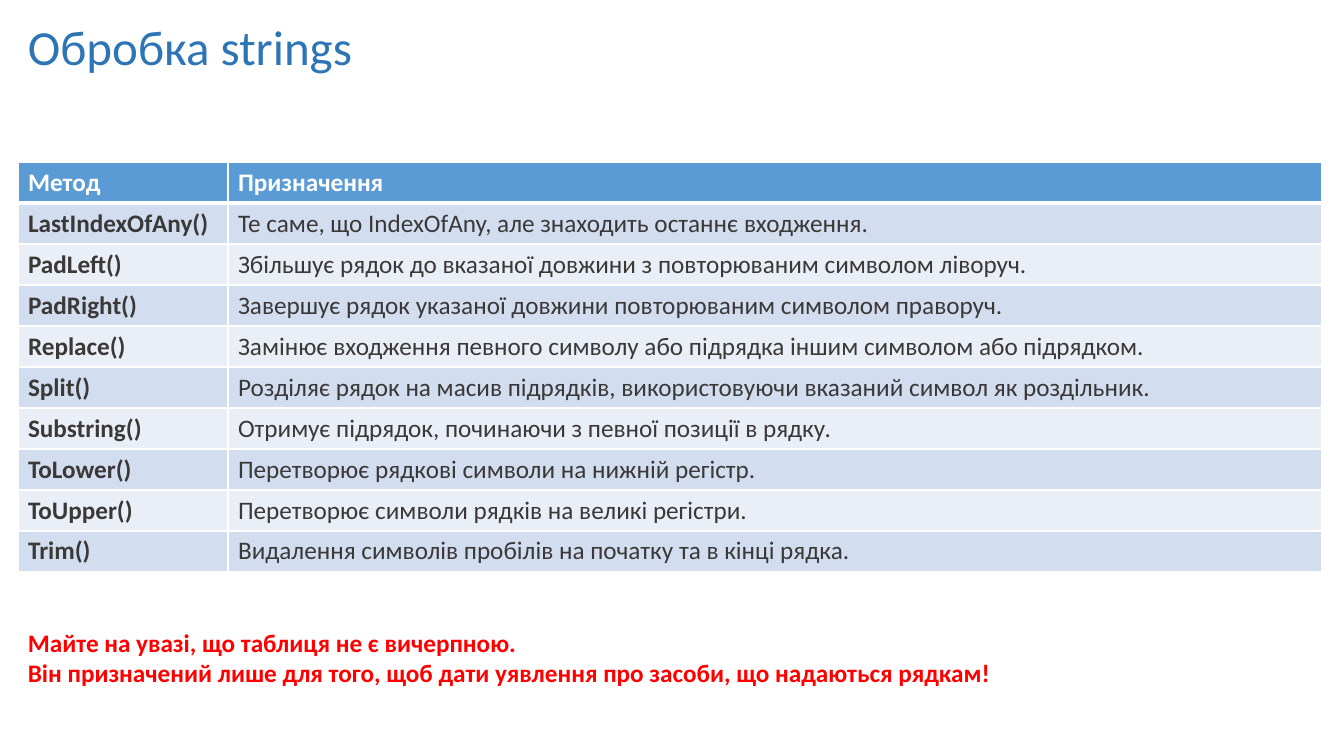
from dataclasses import dataclass

from lxml import etree
from pptx import Presentation
from pptx import util as u
from pptx.dml.color import RGBColor
from pptx.enum import text
from pptx.oxml import ns

EMU_PER_PX = 914400 / 100.8


@dataclass(frozen=True)
class Theme:
    font: str = "Calibri"
    title_size: int = 35
    body_size: int = 18
    title: str = "2E75B6"
    body: str = "3B3838"
    warning: str = "FF0000"
    white: str = "FFFFFF"
    header_fill: str = "5B9BD5"
    band_fills: tuple = ("D2DEEF", "EAEFF7")


def px(length):
    return u.Emu(round(length * EMU_PER_PX))


def write(frame, words, *, font, size, color, bold=False, align=None):
    """Fill a text frame with one paragraph; a newline is a line break."""
    paragraph = frame.paragraphs[0]
    paragraph.alignment = align
    for index, line in enumerate(words.split("\n")):
        if index:
            paragraph.add_line_break()
        run = paragraph.add_run()
        run.text = line
        run.font.name = font
        run.font.size = u.Pt(size)
        run.font.bold = bold
        run.font.color.rgb = RGBColor.from_string(color)


class SlideBuilder:
    def __init__(self, slide, theme):
        self.slide = slide
        self.theme = theme

    def text_box(self, box, words, *, wrap=True, **style):
        shape = self.slide.shapes.add_textbox(*map(px, box))
        frame = shape.text_frame
        frame.word_wrap = wrap
        frame.auto_size = text.MSO_AUTO_SIZE.SHAPE_TO_FIT_TEXT
        write(frame, words, font=self.theme.font, **style)

    def borders(self, cell, widths):
        """Draw white borders; they must precede the fill in the cell's XML."""
        properties = cell._tc.get_or_add_tcPr()
        for index, (side, width) in enumerate(widths.items()):
            line = etree.Element(ns.qn(f"a:ln{side}"), w=str(u.Pt(width)))
            fill = etree.SubElement(line, ns.qn("a:solidFill"))
            etree.SubElement(fill, ns.qn("a:srgbClr"), val=self.theme.white)
            properties.insert(index, line)

    def cell(self, cell, words, *, fill, widths, **style):
        cell.fill.solid()
        cell.fill.fore_color.rgb = RGBColor.from_string(fill)
        self.borders(cell, widths)
        write(cell.text_frame, words, font=self.theme.font,
              size=self.theme.body_size, **style)

    def table(self, left, top, column_widths, row_height, rows):
        theme = self.theme
        box = (left, top, sum(column_widths), row_height * len(rows))
        table = self.slide.shapes.add_table(
            len(rows), len(column_widths), *map(px, box)).table
        table.horz_banding = False
        for column, width in zip(table.columns, column_widths):
            column.width = px(width)
        for r, row in enumerate(rows):
            header = r == 0
            table.rows[r].height = px(row_height)
            fill = theme.header_fill if header else theme.band_fills[(r - 1) % 2]
            widths = {"L": 1, "R": 1, "T": 3 if r == 1 else 1, "B": 3 if header else 1}
            for c, words in enumerate(row):
                description = c == 1 and not header
                self.cell(
                    table.cell(r, c), words, fill=fill, widths=widths,
                    color=theme.white if header else theme.body,
                    bold=not description,
                    align=text.PP_ALIGN.JUSTIFY if description else None)


METHODS = [
    ("Метод", "Призначення"),
    ("LastIndexOfAny()", "Те саме, що IndexOfAny, але знаходить останнє входження."),
    ("PadLeft()", "Збільшує рядок до вказаної довжини з повторюваним символом ліворуч."),
    ("PadRight()", "Завершує рядок указаної довжини повторюваним символом праворуч."),
    ("Replace()", "Замінює входження певного символу або підрядка іншим символом або підрядком."),
    ("Split()", "Розділяє рядок на масив підрядків, використовуючи вказаний символ як роздільник."),
    ("Substring()", "Отримує підрядок, починаючи з певної позиції в рядку."),
    ("ToLower()", "Перетворює рядкові символи на нижній регістр."),
    ("ToUpper()", "Перетворює символи рядків на великі регістри."),
    ("Trim()", "Видалення символів пробілів на початку та в кінці рядка."),
]
NOTE = ("Майте на увазі, що таблиця не є вичерпною.\n"
        "Він призначений лише для того, щоб дати уявлення про засоби, що надаються рядкам!")


def main():
    theme = Theme()
    presentation = Presentation()
    presentation.slide_width, presentation.slide_height = px(1344), px(756)
    slide = presentation.slides.add_slide(presentation.slide_layouts[6])
    builder = SlideBuilder(slide, theme)

    # Title
    builder.text_box((18, 12, 348, 70), "Обробка strings", wrap=False,
                     size=theme.title_size, color=theme.title)

    # Table of string methods
    builder.table(18, 162, (210, 1094), 41, METHODS)

    # Closing note
    builder.text_box((18, 622, 1308, 72), NOTE,
                     size=theme.body_size, color=theme.warning, bold=True)

    presentation.save("out.pptx")


if __name__ == "__main__":
    main()
